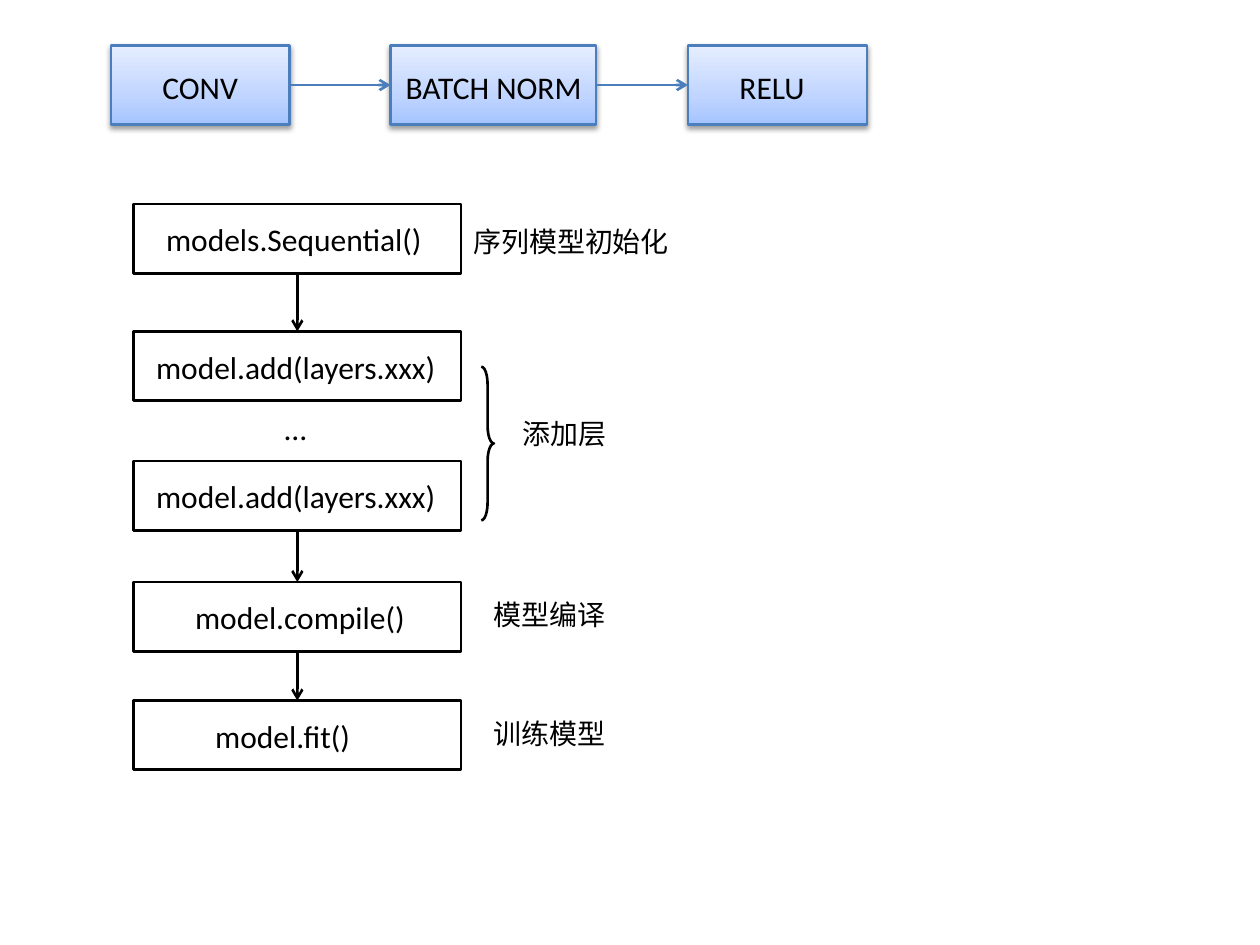
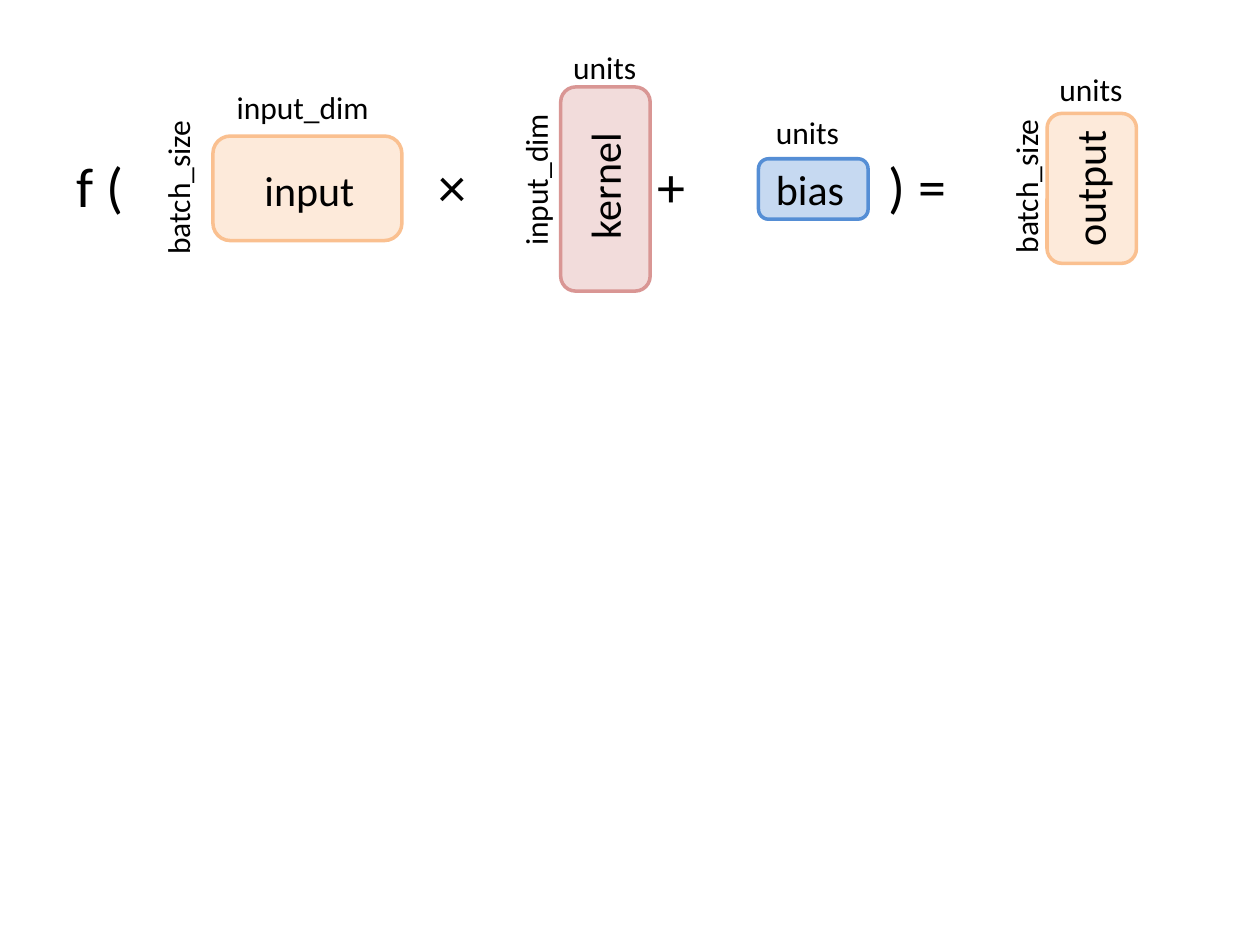
"""Build two slides: a Keras model workflow and the formula of a dense layer."""
from lxml.etree import SubElement
from pptx import Presentation
from pptx.dml.color import RGBColor
from pptx.enum.shapes import MSO_CONNECTOR as Link, MSO_SHAPE as Shape
from pptx.enum.text import MSO_AUTO_SIZE as AutoSize, PP_ALIGN as Align
from pptx.oxml import parse_xml
from pptx.oxml.ns import nsdecls, qn
from pptx.util import Inches, Pt

rgb = RGBColor.from_string
LATIN, CHINESE = "Calibri", "Noto Sans CJK SC"
BLACK, BLUE = "000000", "4B7EBC"
ORANGE, RED, SKY = ("FDEADA", "FAC090"), ("F2DCDB", "D99694"), ("C6D9F1", "558ED5")
GRADIENT = [(0, "A4C4FF"), (35, "BFD4FF"), (100, "E6EEFF")]
TOP, LEFT, BOTTOM, RIGHT = range(4)


def add_box(slide, kind, at, line, weight=1.5, fill=None):
    box = slide.shapes.add_shape(kind, *map(Inches, at))
    box.shadow.inherit = False
    if fill:
        box.fill.solid()
        box.fill.fore_color.rgb = rgb(fill)
    else:
        box.fill.background()
    box.line.color.rgb = rgb(line)
    box.line.width = Pt(weight)
    return box


def add_label(slide, text, at, size=18, font=LATIN, rotation=0, align=Align.LEFT):
    label = slide.shapes.add_textbox(*map(Inches, at))
    label.rotation = rotation
    frame = label.text_frame
    frame.word_wrap = False
    frame.auto_size = AutoSize.SHAPE_TO_FIT_TEXT
    frame.paragraphs[0].alignment = align
    run = frame.paragraphs[0].add_run()
    run.text = text
    run.font.size = Pt(size)
    run.font.color.rgb = rgb(BLACK)
    run.font.name = font
    SubElement(run._r.get_or_add_rPr(), qn("a:ea"), typeface=font)


deck = Presentation()
deck.slide_width, deck.slide_height = Inches(10), Inches(7.5)
blank = deck.slide_layouts[6]

workflow = deck.slides.add_slide(blank)
stops = "".join(
    f'<a:gs pos="{place * 1000}"><a:srgbClr val="{color}"/></a:gs>' for place, color in GRADIENT
)
layers = []
for name, left, width, text_left, text_width in [
    ("CONV", 0.88, 1.42, 1.19, 0.81),
    ("BATCH NORM", 3.1, 1.63, 3.12, 1.61),
    ("RELU", 5.46, 1.42, 5.77, 0.72),
]:
    layer = add_box(workflow, Shape.RECTANGLE, (left, 0.36, width, 0.63), BLUE)
    properties = layer.element.spPr
    properties.replace(properties.find(qn("a:noFill")), parse_xml(
        f'<a:gradFill {nsdecls("a")} rotWithShape="1"><a:gsLst>{stops}</a:gsLst>'
        '<a:lin ang="16200000" scaled="0"/></a:gradFill>'))
    properties.find(qn("a:effectLst")).append(parse_xml(
        f'<a:outerShdw {nsdecls("a")} blurRad="{Pt(3.1)}" dist="{Pt(1.6)}" dir="5400000" '
        f'rotWithShape="0"><a:srgbClr val="{BLACK}"><a:alpha val="38000"/></a:srgbClr>'
        '</a:outerShdw>'))
    add_label(workflow, name, (text_left, 0.49, text_width, 0.4))
    layers.append(layer)

steps = []
for call, top, text_left, text_width in [
    ("models.Sequential()", 1.62, 1.22, 2.26),
    ("model.add(layers.xxx)", 2.63, 1.14, 2.44),
    ("model.add(layers.xxx)", 3.66, 1.14, 2.44),
    ("model.compile()", 4.62, 1.45, 1.89),
    ("model.fit()", 5.56, 1.61, 1.29),
]:
    steps.append(add_box(workflow, Shape.RECTANGLE, (1.06, top, 2.6, 0.55), BLACK))
    add_label(workflow, call, (text_left, top + 0.08, text_width, 0.4))
add_label(workflow, "…", (2.16, 3.2, 0.38, 0.4))

first, first_add, last_add, compiling, fitting = steps
across = [(a, RIGHT, b, LEFT, BLUE) for a, b in zip(layers, layers[1:])]
down = [
    (a, BOTTOM, b, TOP, BLACK)
    for a, b in [(first, first_add), (last_add, compiling), (compiling, fitting)]
]
for source, start, target, end, color in across + down:
    arrow = workflow.shapes.add_connector(Link.STRAIGHT, 0, 0, 0, 0)
    arrow.begin_connect(source, start)
    arrow.end_connect(target, end)
    arrow.line.color.rgb = rgb(color)
    arrow.line.width = Pt(1.5)
    SubElement(arrow.element.spPr.find(qn("a:ln")), qn("a:tailEnd"), type="arrow")
    SubElement(arrow.element.spPr, qn("a:effectLst"))

brace = add_box(workflow, Shape.RIGHT_BRACE, (3.82, 2.91, 0.1, 1.22), BLACK)
brace.adjustments[0] = 1.4
for meaning, left, top, width in [
    ("序列模型初始化", 3.66, 1.73, 1.77),
    ("添加层", 4.05, 3.26, 0.88),
    ("模型编译", 3.82, 4.69, 1.1),
    ("训练模型", 3.82, 5.64, 1.1),
]:
    add_label(workflow, meaning, (left, top, width, 0.37), 16, CHINESE)

formula = deck.slides.add_slide(blank)
for symbol, left, width in [("f (", 0.51, 0.57), ("×", 3.34, 0.5), ("+", 5.08, 0.5), (") =", 6.93, 0.7)]:
    add_label(formula, symbol, (left, 1.15, width, 0.64), 32, align=Align.CENTER)

for at, (fill, line) in [
    ((1.69, 1.08, 1.5, 0.83), ORANGE),
    ((4.45, 0.69, 0.71, 1.62), RED),
    ((6.02, 1.26, 0.87, 0.48), SKY),
    ((8.31, 0.9, 0.71, 1.19), ORANGE),
]:
    add_box(formula, Shape.ROUNDED_RECTANGLE, at, line, 2, fill)

for tensor, left, top, width, rotation in [
    ("input", 2, 1.26, 0.92, 0),
    ("kernel", 4.27, 1.22, 1.05, 270),
    ("bias", 6.06, 1.25, 0.75, 0),
    ("output", 8.08, 1.24, 1.13, 270),
]:
    add_label(formula, tensor, (left, top, width, 0.5), 24, rotation=rotation)

for dimension, left, top, width, rotation in [
    ("input_dim", 1.78, 0.65, 1.26, 0),
    ("units", 4.45, 0.33, 0.71, 0),
    ("units", 6.06, 0.85, 0.71, 0),
    ("units", 8.31, 0.51, 0.71, 0),
    ("batch_size", 0.77, 1.28, 1.28, 270),
    ("batch_size", 7.5, 1.27, 1.28, 270),
    ("input_dim", 3.62, 1.22, 1.26, 270),
]:
    add_label(formula, dimension, (left, top, width, 0.4), rotation=rotation)

deck.save("out.pptx")
